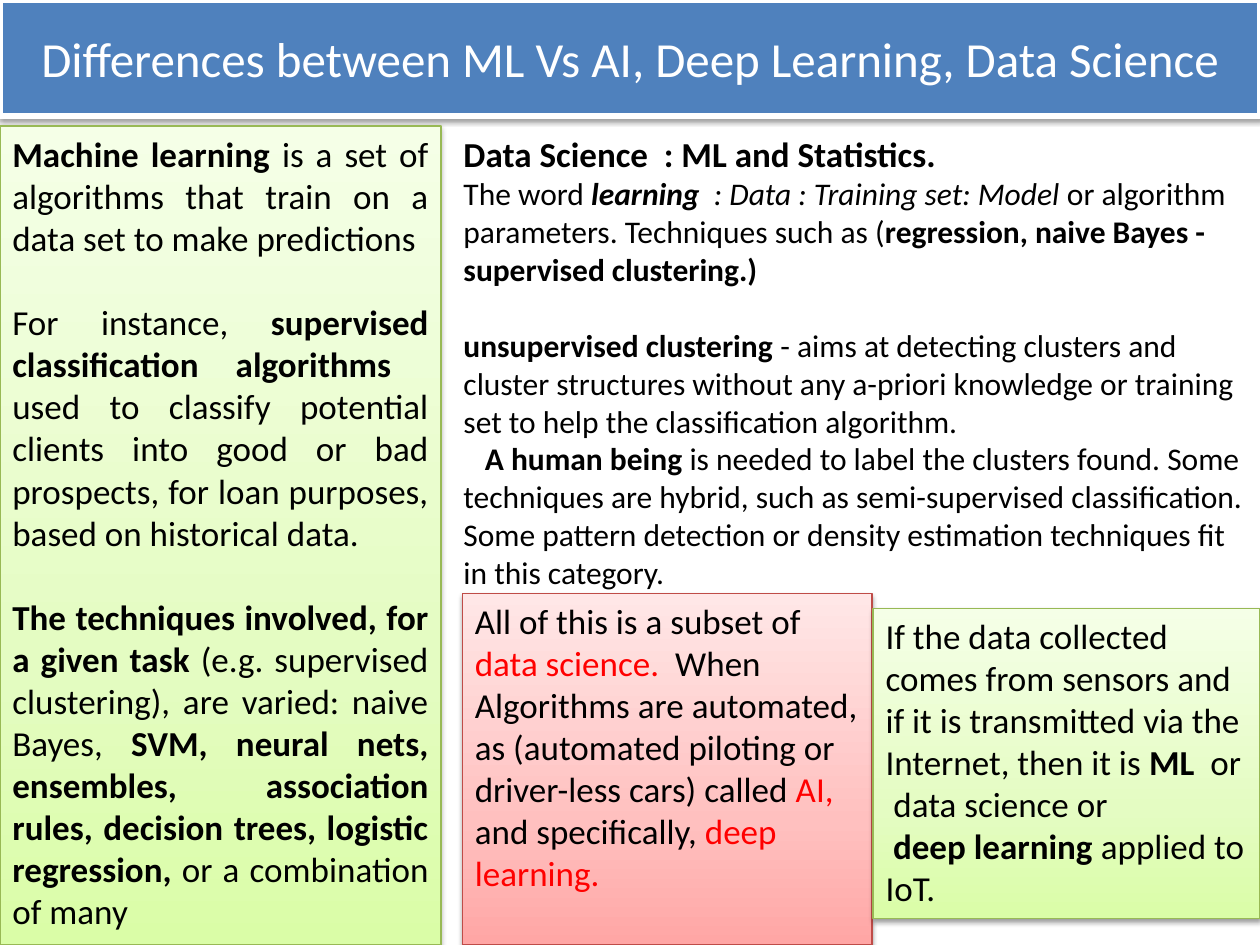
from copy import deepcopy

from lxml import etree
from pptx import Presentation
from pptx.dml.color import RGBColor
from pptx.enum import shapes, text
from pptx.oxml import ns
from pptx.util import Inches, Pt

FONT = "Calibri"
COLORS = {
    "blue": "4F81BD", "white": "FFFFFF", "black": "000000", "red": "FF0000",
    "green": "98B955", "rose": "BF4C48",
}
# Gradient stops from the bottom edge upwards
FADES = {
    "green": ["DAFDA7", "E4FCC2", "F5FFE7"],
    "rose": ["FFA6A5", "FFC0BF", "FFE7E7"],
}
STOPS = [0, 0.35, 1]

# A paragraph is (runs, options); a run is (text, marks): b bold, i italic, r red
LEARN = [
    ([("Machine learning ", "b"),
      ("is a set of algorithms that train on a data set to make predictions", "")], {}),
    ([("For instance, ", ""), ("supervised classification algorithms  ", "b"),
      ("used to classify potential clients into good or bad prospects, "
       "for loan purposes, based on historical data.", "")], {"gap": 24.4}),
    ([("The techniques involved, for a given task ", "b"),
      ("(e.g. supervised clustering), are varied: naive Bayes, ", ""),
      ("SVM, neural nets, ensembles, association rules, decision trees, "
       "logistic regression, ", "b"),
      ("or a combination of many", "")], {"gap": 24.4}),
]
SUBSET = [
    ([("All of this is a subset of ", ""), ("data science.", "r"), ("  When", "")], {}),
    ([("Algorithms are automated, as (automated piloting or driver-less cars) called ", ""),
      ("AI,", "r"), (" and specifically, ", ""), ("deep learning.", "r")], {}),
]
SENSORS = [
    ([("If the data collected comes from sensors and if it is transmitted "
       "via the Internet, then it is ", ""),
      ("ML ", "b"), (" or  data science or", "")], {}),
    ([("deep learning ", "b"), ("applied to IoT.", "")], {"indent": 0.06}),
]
SCIENCE = [
    ([("Data Science  : ML and Statistics.", "b")], {}),
    ([("The word ", ""), ("learning", "bi"), ("  : Data : Training set: Model", "i"),
      (" or algorithm parameters. Techniques such as (", ""),
      ("regression, naive Bayes - supervised clustering.)", "b")], {"size": 18}),
    ([("unsupervised clustering ", "b"),
      ("- aims at detecting clusters and cluster structures without any a-priori "
       "knowledge or training set to help the classification algorithm.", "")],
     {"size": 18, "gap": 22}),
    ([("A human being", "b"),
      (" is needed to label the clusters found. Some techniques are hybrid, such as "
       "semi-supervised classification. Some pattern detection or density estimation "
       "techniques fit in this category.", "")], {"size": 18, "indent": 0.17}),
]


def rgb(name):
    return RGBColor.from_string(COLORS[name])


def place(shape, left, top, width, height):
    shape.left, shape.top = Inches(left), Inches(top)
    shape.width, shape.height = Inches(width), Inches(height)


def shade(shape):
    """Give the shape a soft shadow straight below it."""
    shape.shadow.inherit = False
    effects = shape._element.spPr.find(ns.qn("a:effectLst"))
    outer = etree.SubElement(effects, ns.qn("a:outerShdw"), blurRad=str(Pt(3.1)),
                             dist=str(Pt(1.6)), dir="5400000", rotWithShape="0")
    color = etree.SubElement(outer, ns.qn("a:srgbClr"), val=COLORS["black"])
    etree.SubElement(color, ns.qn("a:alpha"), val="38000")


def fade(shape, tint):
    """Fill with a three-stop gradient that runs upwards."""
    shape.fill.gradient()
    shape.fill.gradient_angle = 90
    stops = shape._element.spPr.find(ns.qn("a:gradFill")).find(ns.qn("a:gsLst"))
    stops.append(deepcopy(stops[-1]))
    for stop, spot, color in zip(shape.fill.gradient_stops, STOPS, FADES[tint]):
        stop.position = spot
        stop.color.rgb = RGBColor.from_string(color)


def style(para, size, color):
    para.font.name, para.font.size = FONT, Pt(size)
    para.font.color.rgb = rgb(color)


def write(shape, paras, align=text.PP_ALIGN.LEFT):
    frame = shape.text_frame
    frame.word_wrap = True
    frame.vertical_anchor = text.MSO_ANCHOR.TOP
    for n, (runs, opts) in enumerate(paras):
        para = frame.add_paragraph() if n else frame.paragraphs[0]
        para.alignment = align
        if "gap" in opts:
            para.space_before = Pt(opts["gap"])
        if "indent" in opts:
            para._p.get_or_add_pPr().set("indent", str(Inches(opts["indent"])))
        style(para, opts.get("size", 20), "black")
        for words, marks in runs:
            run = para.add_run()
            run.text = words
            if "b" in marks:
                run.font.bold = True
            if "i" in marks:
                run.font.italic = True
            if "r" in marks:
                run.font.color.rgb = rgb("red")


def add_title(slide, words):
    title = slide.shapes.title
    place(title, 0, 0, 10, 0.92)
    title.fill.solid()
    title.fill.fore_color.rgb = rgb("blue")
    title.line.color.rgb = rgb("white")
    title.line.width = Pt(3)
    shade(title)
    frame = title.text_frame
    frame.text = words
    frame.auto_size = text.MSO_AUTO_SIZE.NONE
    frame.vertical_anchor = text.MSO_ANCHOR.MIDDLE
    frame.paragraphs[0].alignment = text.PP_ALIGN.CENTER
    style(frame.paragraphs[0], 28, "white")


def add_card(slide, box, tint, paras, align=text.PP_ALIGN.LEFT):
    card = slide.shapes.add_shape(shapes.MSO_SHAPE.RECTANGLE, *map(Inches, box))
    fade(card, tint)
    card.line.color.rgb = rgb(tint)
    card.line.width = Pt(0.75)
    shade(card)
    write(card, paras, align)


def add_note(slide, box, paras):
    write(slide.shapes.add_textbox(*map(Inches, box)), paras)


def main():
    deck = Presentation()
    deck.slide_width, deck.slide_height = Inches(10), Inches(7.5)
    slide = deck.slides.add_slide(deck.slide_layouts[5])

    add_title(slide, "Differences between ML Vs AI, Deep Learning, Data Science")
    # Left column
    add_card(slide, (0, 1, 3.5, 6.5), "green", LEARN, text.PP_ALIGN.JUSTIFY)
    # Lower right cards
    add_card(slide, (3.67, 4.71, 3.25, 2.79), "rose", SUBSET)
    add_card(slide, (6.93, 4.83, 3.07, 2.46), "green", SENSORS)
    # Upper right text
    add_note(slide, (3.58, 1, 6.42, 4.07), SCIENCE)

    deck.save("out.pptx")


if __name__ == "__main__":
    main()
